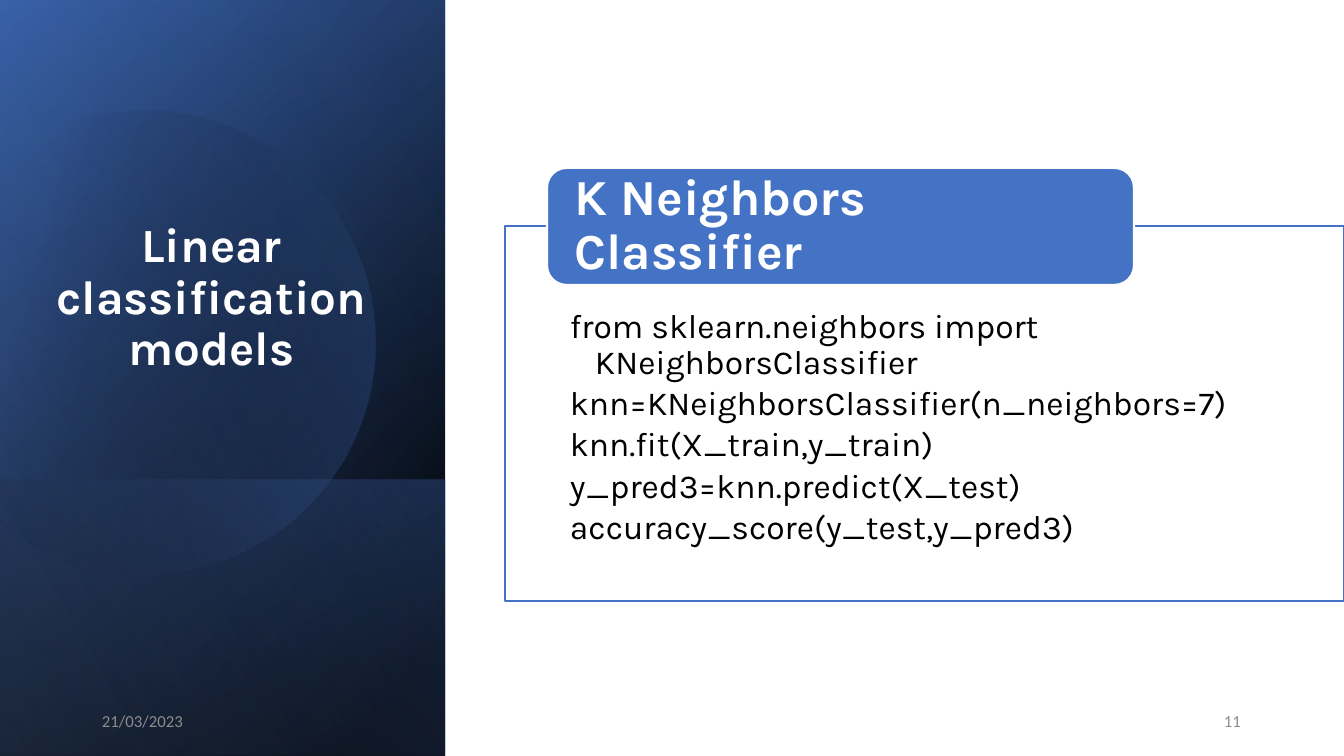
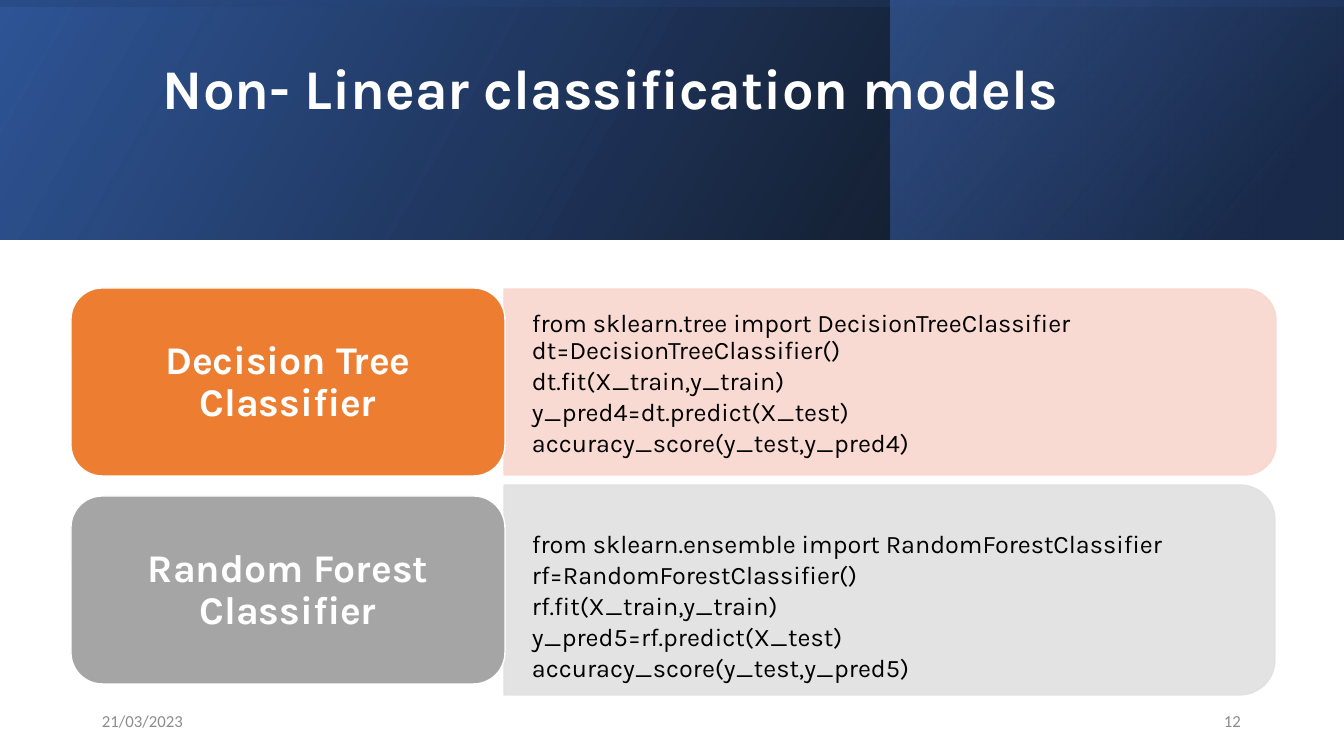
from itertools import pairwise
from math import cos, radians, sin, tan

from pptx import Presentation
from pptx.dml.color import RGBColor
from pptx.enum.shapes import MSO_SHAPE
from pptx.enum.text import MSO_ANCHOR, PP_ALIGN
from pptx.oxml import parse_xml
from pptx.oxml.ns import nsdecls, qn
from pptx.oxml.xmlchemy import OxmlElement
from pptx.util import Emu, Pt

WIDTH, HEIGHT = 1344, 756
EMU_PER_PX = 12192000 / WIDTH
BLACK, WHITE, GREY = "000000", "FFFFFF", "8C8C8C"
BLUE, DARK_BLUE, NAVY, PALE_BLUE = "4472C4", "2F5597", "203864", "8FAADC"
ORANGE, PALE_ORANGE, SILVER, PALE_SILVER = "ED7D31", "F8D7CE", "A5A5A5", "E1E1E1"
HEADING_FONT, FOOTER_FONT = "Karla", "Calibri"
DATE = "21/03/2023"


def px(length):
    return Emu(round(length * EMU_PER_PX))


def rgb(color):
    return RGBColor.from_string(color)


def add_preset(page, kind, area, rotation=0):
    left, top, width, height = area
    if rotation % 180:
        left, top = left + (width - height) / 2, top + (height - width) / 2
        width, height = height, width
    shape = page.shapes.add_shape(kind, px(left), px(top), px(width), px(height))
    shape.rotation = rotation
    shape.shadow.inherit = False
    return shape


def paint(shape, fill, line, weight=1, alpha=100):
    shape.fill.solid()
    shape.fill.fore_color.rgb = rgb(fill)
    shape.line.color.rgb = rgb(line)
    shape.line.width = Pt(weight)
    if alpha < 100:
        for color in shape.element.spPr.iter(qn("a:srgbClr")):
            opacity = OxmlElement("a:alpha")
            opacity.set("val", str(alpha * 1000))
            color.append(opacity)


def paint_gradient(shape, stops, angle):
    marks = "".join(
        f'<a:gs pos="{position * 1000}"><a:srgbClr val="{color}">'
        f'<a:alpha val="{alpha * 1000}"/></a:srgbClr></a:gs>'
        for position, color, alpha in stops
    )
    gradient = parse_xml(
        f'<a:gradFill {nsdecls("a")} rotWithShape="1"><a:gsLst>{marks}</a:gsLst>'
        f'<a:lin ang="{angle * 60000}" scaled="0"/></a:gradFill>'
    )
    shape.fill.background()
    properties = shape.element.spPr
    properties.replace(properties.find(qn("a:noFill")), gradient)
    shape.line.fill.background()


def add_band(page, area, rotation, stops, angle):
    band = add_preset(page, MSO_SHAPE.RECTANGLE, area, rotation)
    band.element.spPr.find(qn("a:xfrm")).set("flipH", "1")
    paint_gradient(band, stops, angle)


def add_cut_disc(page, center_x, center_y, radius, turns, rotation):
    def place(turn, pull=0):
        angle = radians(turn)
        return (
            round(center_x + radius * (cos(angle) - pull * sin(angle))),
            round(center_y + radius * (sin(angle) + pull * cos(angle))),
        )

    points = [place(turn) for turn in turns]
    left, top = min(x for x, y in points), min(y for x, y in points)
    builder = page.shapes.build_freeform(*points[0], scale=EMU_PER_PX)
    builder.add_line_segments(points[1:], close=True)
    disc = builder.convert_to_shape()
    edges = list(disc.element.spPr.iter(qn("a:lnTo")))
    for edge, (start, end) in zip(edges, pairwise(turns)):
        pull = 4 / 3 * tan(radians(end - start) / 4)
        curve = OxmlElement("a:cubicBezTo")
        for x, y in (place(start, pull), place(end, -pull), place(end)):
            point = OxmlElement("a:pt")
            point.set("x", str(x - left))
            point.set("y", str(y - top))
            curve.append(point)
        edge.getparent().replace(edge, curve)
    disc.rotation = rotation
    disc.shadow.inherit = False
    paint_gradient(disc, [(29, BLACK, 0), (100, BLUE, 43)], 30)


def write(shape, text, size, color=WHITE, font=HEADING_FONT, bold=False,
          align=PP_ALIGN.LEFT, anchor=MSO_ANCHOR.MIDDLE, insets=(10, 5, 10, 5),
          spacing=0.9, after=0, hanging=0):
    frame = shape.text_frame
    frame.word_wrap = True
    frame.vertical_anchor = anchor
    frame.margin_left, frame.margin_top, frame.margin_right, frame.margin_bottom = map(px, insets)
    frame.text = text
    for para in frame.paragraphs:
        para.alignment = align
        para.line_spacing = spacing
        para.space_after = Pt(after)
        if hanging:
            properties = para._p.get_or_add_pPr()
            properties.set("marL", str(px(hanging)))
            properties.set("indent", str(-px(hanging)))
        for span in para.runs:
            span.font.name = font
            span.font.size = Pt(size)
            span.font.bold = bold
            span.font.color.rgb = rgb(color)


def add_text(page, area, text, size, **style):
    box = page.shapes.add_textbox(*map(px, area))
    write(box, text, size, **style)
    return box


def add_title(page, area, text, size, **style):
    add_text(page, area, text, size, bold=True, **style)


def add_footer(page, number):
    for left, text, align in ((92, DATE, PP_ALIGN.LEFT), (949, number, PP_ALIGN.RIGHT)):
        add_text(page, (left, 701, 302, 40), text, 12, color=GREY,
                 font=FOOTER_FONT, align=align, spacing=1.0)


def add_label(page, area, text, size, fill, weight, **style):
    label = add_preset(page, MSO_SHAPE.ROUNDED_RECTANGLE, area)
    paint(label, fill, WHITE, weight)
    write(label, text, size, bold=True, **style)


def add_model_row(page, top, name, fill, panel_fill, panel_area, code_area, code):
    panel = add_preset(page, MSO_SHAPE.ROUND_2_SAME_RECTANGLE, panel_area, 90)
    paint(panel, panel_fill, panel_fill, alpha=90)
    box = add_text(page, code_area, code, 18, color=BLACK,
                   insets=(27, 14, 27, 14), after=2.7, hanging=19)
    add_label(page, (71, top, 434, 188), name, 28, fill, 1,
              align=PP_ALIGN.CENTER, insets=(12, 7, 12, 6))
    return box


def build_linear_page(page):
    side = (0, 0, 445, HEIGHT)
    add_band(page, side, 90, [(8, BLACK, 100), (100, DARK_BLUE, 100)], 50)
    add_band(page, side, 90, [(0, BLACK, 0), (99, BLUE, 46)], 30)
    add_band(page, (0, 480, 445, 276), 90, [(2, BLUE, 29), (100, BLACK, 30)], 130)
    add_cut_disc(page, 144, 338, 231, (-118, -90, 0, 90, 150), 343.9)
    add_band(page, side, 90, [(0, BLACK, 0), (99, PALE_BLUE, 11)], 120)
    add_title(page, (19, 60, 385, 321), "Linear classification\vmodels", 34,
              align=PP_ALIGN.CENTER, anchor=MSO_ANCHOR.BOTTOM)

    code_frame = add_preset(page, MSO_SHAPE.RECTANGLE, (505, 226, 839, 375))
    paint(code_frame, WHITE, BLUE)
    write(
        code_frame,
        "from sklearn.neighbors import KNeighborsClassifier\n"
        "knn=KNeighborsClassifier(n_neighbors=7)\n"
        "knn.fit(X_train,y_train)\n"
        "y_pred3=knn.predict(X_test)\n"
        "accuracy_score(y_test,y_pred3)",
        24, color=BLACK, anchor=MSO_ANCHOR.TOP, insets=(65, 83, 66, 19),
        after=3.6, hanging=25,
    )
    add_label(page, (547, 168, 587, 117), "K Neighbors Classifier", 36, BLUE, 1.5,
              insets=(22, 0, 24, 0))
    add_footer(page, "11")


def build_non_linear_page(page):
    header = (0, 0, WIDTH, 240)
    add_band(page, header, 0, [(0, BLACK, 96), (100, DARK_BLUE, 100)], 330)
    add_band(page, (891, 0, 452, 240), 0, [(19, NAVY, 68), (100, BLUE, 48)], 320)
    add_band(page, header, 270, [(23, DARK_BLUE, 16), (99, BLACK, 45)], 350)
    add_title(page, (153, 34, 1072, 114), "Non- Linear classification models", 40)

    tree_code = add_model_row(
        page, 288, "Decision Tree Classifier", ORANGE, PALE_ORANGE,
        (504, 289, 772, 186), (505, 301, 762, 167),
        "from sklearn.tree import DecisionTreeClassifier\n"
        "dt=DecisionTreeClassifier()\n"
        "dt.fit(X_train,y_train)\n"
        "y_pred4=dt.predict(X_test)\n"
        "accuracy_score(y_test,y_pred4)",
    )
    tree_code.text_frame.paragraphs[0].space_after = Pt(0)
    add_model_row(
        page, 496, "Random Forest Classifier", SILVER, PALE_SILVER,
        (504, 485, 771, 210), (505, 513, 760, 189),
        "from sklearn.ensemble import RandomForestClassifier\n"
        "rf=RandomForestClassifier()\n"
        "rf.fit(X_train,y_train)\n"
        "y_pred5=rf.predict(X_test)\n"
        "accuracy_score(y_test,y_pred5)",
    )
    add_footer(page, "12")


def main():
    deck = Presentation()
    deck.slide_width, deck.slide_height = px(WIDTH), px(HEIGHT)
    for build in (build_linear_page, build_non_linear_page):
        build(deck.slides.add_slide(deck.slide_layouts[6]))
    deck.save("out.pptx")


if __name__ == "__main__":
    main()
